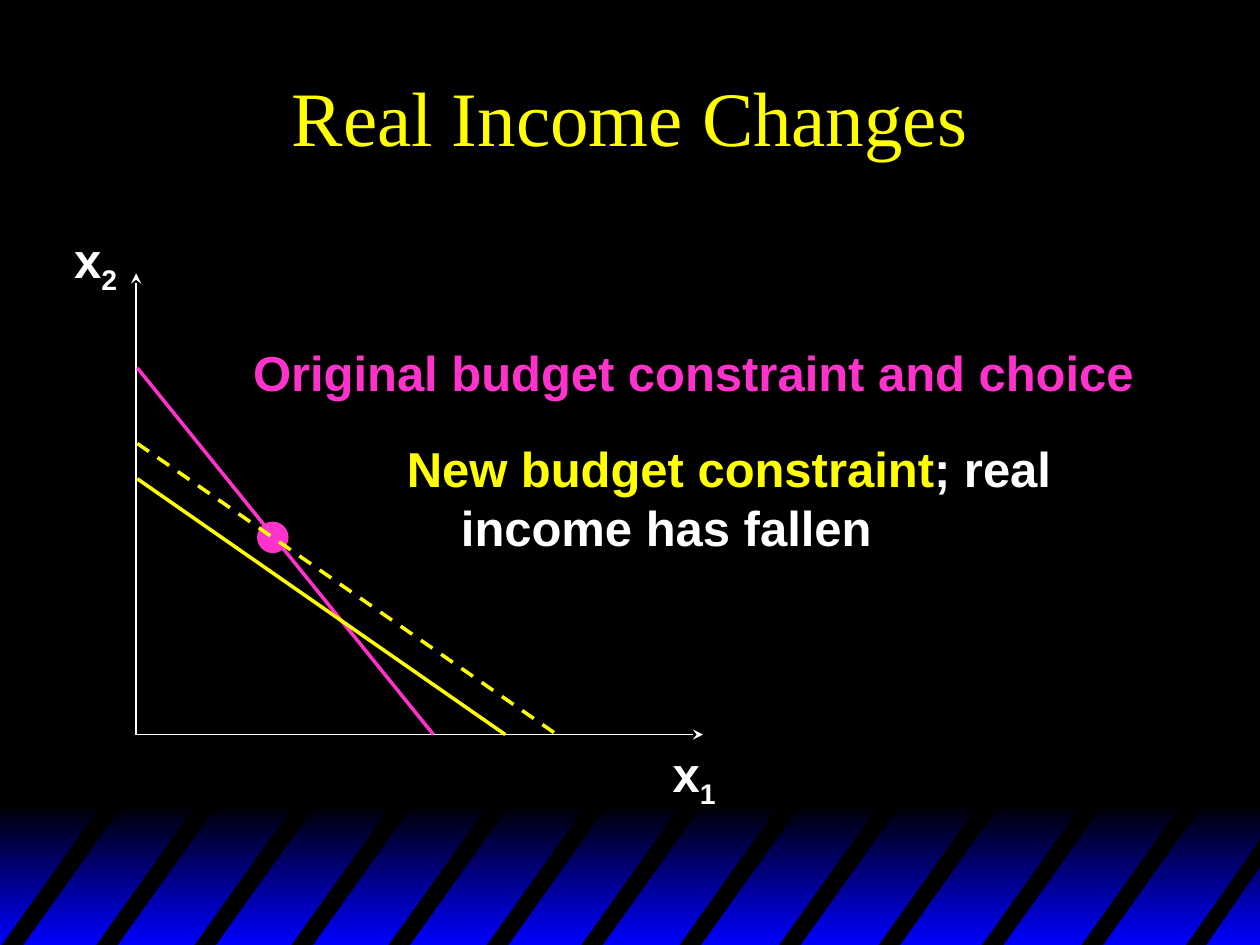
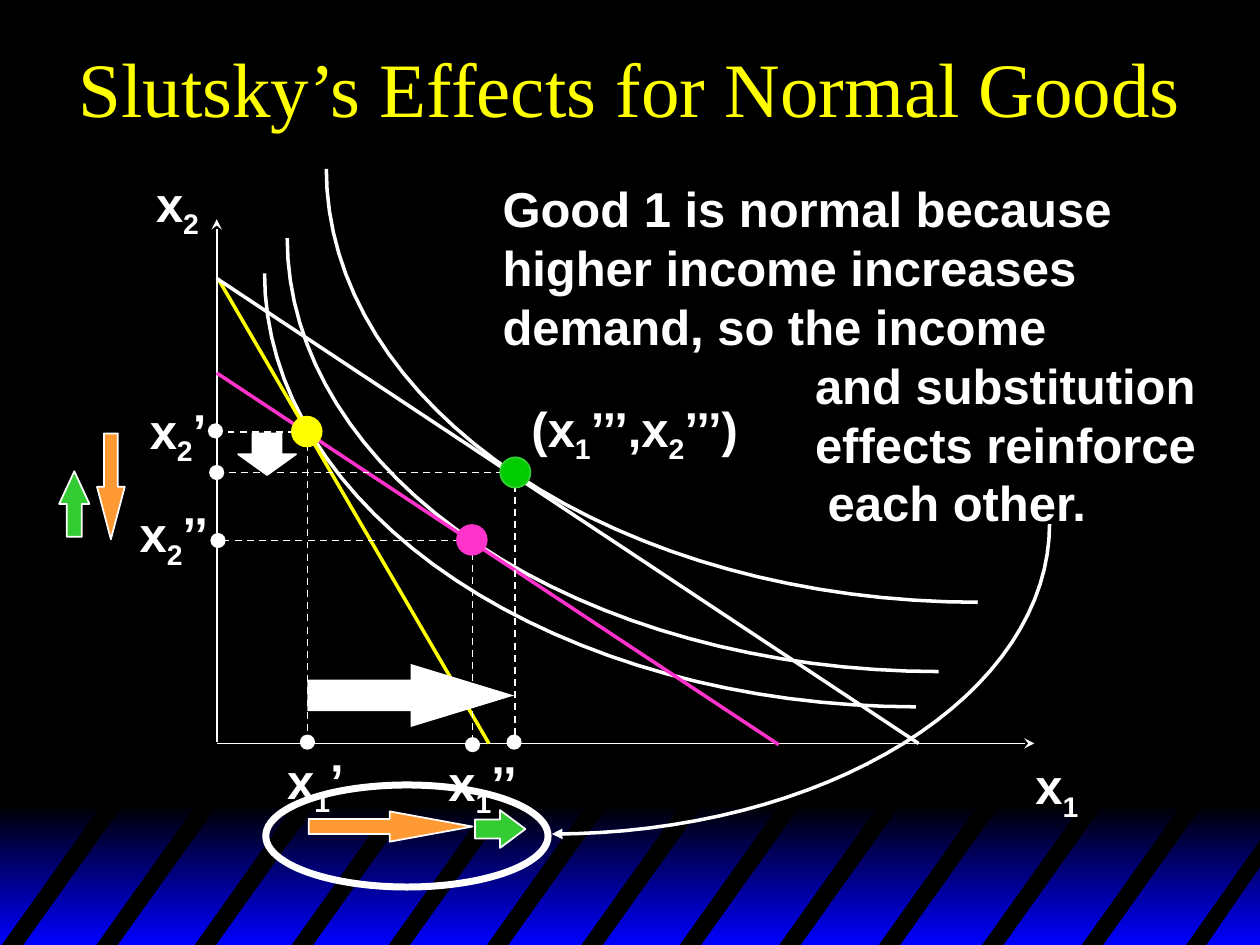
"""Builds two slides on real income changes and Slutsky's effects."""
import math

from lxml import etree
from pptx import Presentation
from pptx import util as u
from pptx.dml.color import RGBColor
from pptx.enum import dml, shapes, text
from pptx.oxml.ns import qn

C = {"black": "000000", "blue": "0000FF", "white": "FFFFFF", "yellow": "FFFF00",
     "pink": "FF33CC", "green": "33CC33", "dark green": "00CC00", "orange": "FF9933"}
I = u.Inches
M = shapes.MSO_SHAPE


def stroke(sp, color, width, dash=False, tip=None):
    sp.line.color.rgb = RGBColor.from_string(C[color])
    sp.line.width = u.Pt(width)
    if dash:
        sp.line.dash_style = dml.MSO_LINE.DASH
    if tip:
        ln = sp._element.spPr.find(qn("a:ln"))
        etree.SubElement(ln, qn("a:tailEnd")).set("type", tip)


def label(s, at, paras, font="Arial", size=28, title=False):
    tf = s.shapes.add_textbox(*map(I, at)).text_frame
    tf.word_wrap = title
    if title:
        tf.vertical_anchor = text.MSO_ANCHOR.MIDDLE
    for i, (indent, runs) in enumerate(paras):
        p = tf.add_paragraph() if i else tf.paragraphs[0]
        p.alignment = text.PP_ALIGN.CENTER if title else text.PP_ALIGN.LEFT
        if indent:
            p._p.get_or_add_pPr().set("marL", str(I(indent)))
        for words, color in runs:
            for j, piece in enumerate(words.split("|")):
                r = p.add_run()
                r.text = piece
                r.font.name, r.font.size, r.font.bold = font, u.Pt(size), not title
                r.font.color.rgb = RGBColor.from_string(C[color])
                if j % 2:
                    r._r.get_or_add_rPr().set("baseline", "-25000")


prs = Presentation()
prs.slide_width, prs.slide_height = I(10), I(7.5)

bottom, top, lean, thick = 7.52, 6.34, 0.84, 0.17
stripe_lefts = [0, 0.75, 1.53, 2.3, 3.07, 3.85, 4.6, 5.38, 6.17, 6.96, 7.78, 8.57]
stripes = [[(x, bottom), (x + lean, top), (x + lean + thick, top), (x + thick, bottom)]
           for x in stripe_lefts]
stripes.append([(9.4, bottom), (10.02, 6.64), (10.02, 6.85), (9.56, bottom)])

titles = [("Real Income Changes", (0.75, 0.25, 8.5, 1.33)),
          ("Slutsky’s Effects for Normal Goods", (0, 0.02, 10, 1.33))]
slides = []
for title, at in titles:
    s = prs.slides.add_slide(prs.slide_layouts[6])
    slides.append(s)
    s.background.fill.solid()
    s.background.fill.fore_color.rgb = RGBColor.from_string(C["black"])
    band = s.shapes.add_shape(M.RECTANGLE, I(0), I(6.38), I(10.02), I(1.12))
    band.shadow.inherit = False
    band.line.fill.background()
    band.fill.gradient()
    band.fill.gradient_angle = 270
    for stop, color, pos in zip(band.fill.gradient_stops, ("black", "blue"), (0, 1)):
        stop.color.rgb = RGBColor.from_string(C[color])
        stop.position = pos
    for pts in stripes:
        fb = s.shapes.build_freeform(I(pts[0][0]), I(pts[0][1]))
        fb.add_line_segments([(I(x), I(y)) for x, y in pts[1:]], close=True)
        sp = fb.convert_to_shape()
        sp.shadow.inherit = False
        sp.fill.solid()
        sp.fill.fore_color.rgb = RGBColor.from_string(C["black"])
        sp.line.fill.background()
    label(s, at, [(0, [(title, "yellow")])], "Times New Roman", 44, title=True)
income, slutsky = slides

curves = [(7.27, 2.17, -5.17, 3.44, None), (7.45, 1.89, -5.17, 3.44, None),
          (7.76, 1.34, -5.17, 3.44, None), (4.38, 4.16, 3.95, 2.46, "triangle")]
steps = 32
for cx, cy, rx, ry, tip in curves:
    angles = [math.pi / 2 * k / steps for k in range(steps + 1)]
    pts = [(I(cx + rx * math.cos(a)), I(cy + ry * math.sin(a))) for a in angles]
    fb = slutsky.shapes.build_freeform(*pts[0])
    fb.add_line_segments(pts[1:], close=False)
    sp = fb.convert_to_shape()
    sp.shadow.inherit = False
    sp.fill.background()
    stroke(sp, "white", 2, tip=tip)

choice = (income, M.OVAL, (2.04, 4.14, 0.25, 0.25), "pink", None, ())
lines = [
    (income, (1.08, 5.83, 1.08, 2.17), "white", 1, False, "stealth"),
    (income, (1.08, 5.83, 5.58, 5.83), "white", 1, False, "stealth"),
    (income, (1.09, 2.92, 3.44, 5.83), "pink", 2, False, None),
    (income, (1.09, 3.8, 4.01, 5.83), "yellow", 2, False, None),
    (slutsky, (1.72, 5.89, 1.72, 1.74), "white", 1, False, "stealth"),
    (slutsky, (1.72, 5.9, 8.21, 5.9), "white", 1, False, "stealth"),
    (slutsky, (1.73, 2.21, 3.88, 5.9), "yellow", 2, False, None),
    (slutsky, (1.72, 2.21, 7.29, 5.9), "white", 2, False, None),
    (slutsky, (1.72, 2.96, 6.18, 5.91), "pink", 2, False, None),
]
for x, y in [(2.44, 3.43), (3.75, 4.29), (4.09, 3.75)]:
    lines.append((slutsky, (x, y, x, 5.9), "white", 1, True, None))
    lines.append((slutsky, (x, y, 1.72, y), "white", 1, True, None))
compensated = (income, (1.09, 3.52, 4.42, 5.83), "yellow", 2, True, None)

marks = [
    choice,
    (slutsky, M.OVAL, (2.31, 3.3, 0.25, 0.25), "yellow", None, ()),
    (slutsky, M.OVAL, (3.62, 4.16, 0.25, 0.25), "pink", None, ()),
    (slutsky, M.OVAL, (3.97, 3.63, 0.24, 0.24), "dark green", ("green", 1), ()),
    (slutsky, M.DOWN_ARROW, (1.89, 3.44, 0.46, 0.33), "white", ("white", 1), (0.5, 0.5)),
    (slutsky, M.RIGHT_ARROW, (2.44, 5.27, 1.64, 0.5), "white", None, (0.5, 1.64)),
    (slutsky, M.OVAL, (2.11, 6.23, 2.24, 0.81), None, ("white", 4), ()),
    (slutsky, M.DOWN_ARROW, (0.77, 3.44, 0.22, 0.84), "orange", ("white", 1), (0.5, 1.89)),
    (slutsky, M.RIGHT_ARROW, (2.45, 6.44, 1.3, 0.24), "orange", ("white", 1), (0.5, 2.73)),
    (slutsky, M.RIGHT_ARROW, (3.77, 6.43, 0.4, 0.3), "green", ("white", 1), (0.5, 0.67)),
    (slutsky, M.UP_ARROW, (0.47, 3.74, 0.24, 0.52), "green", ("white", 1), (0.5, 1.08)),
]
for x, y in [(1.65, 3.36), (1.66, 3.69), (1.67, 4.23), (2.38, 5.83), (3.69, 5.85), (4.02, 5.83)]:
    marks.append((slutsky, M.OVAL, (x, y, 0.12, 0.12), "white", None, ()))

for item in lines + marks + [compensated]:
    s = item[0]
    if item in marks:
        _, kind, at, fill, outline, adj = item
        sp = s.shapes.add_shape(kind, *map(I, at))
        sp.shadow.inherit = False
        for i, value in enumerate(adj):
            sp.adjustments[i] = value
        if fill:
            sp.fill.solid()
            sp.fill.fore_color.rgb = RGBColor.from_string(C[fill])
        else:
            sp.fill.background()
        if outline:
            stroke(sp, *outline)
        else:
            sp.line.fill.background()
    else:
        _, ends, color, width, dash, tip = item
        sp = s.shapes.add_connector(shapes.MSO_CONNECTOR.STRAIGHT, *map(I, ends))
        stroke(sp, color, width, dash, tip)
        etree.SubElement(sp._element.spPr, qn("a:effectLst"))

symbols = [
    (income, (5.24, 5.85, 0.54, 0.63), "x|1"),
    (income, (0.49, 1.77, 0.54, 0.63), "x|2"),
    (slutsky, (1.14, 1.33, 0.54, 0.63), "x|2"),
    (slutsky, (8.12, 5.95, 0.54, 0.63), "x|1"),
    (slutsky, (1.09, 3.13, 0.65, 0.63), "x|2|’"),
    (slutsky, (1.01, 3.95, 0.76, 0.63), "x|2|’’"),
    (slutsky, (2.18, 5.91, 0.65, 0.63), "x|1|’"),
    (slutsky, (3.46, 5.92, 0.76, 0.63), "x|1|’’"),
    (slutsky, (4.12, 3.11, 1.9, 0.63), "(x|1|’’’,x|2|’’’)"),
]
for s, at, words in symbols:
    label(s, at, [(0, [(words, "white")])])

label(income, (1.91, 2.67, 7.19, 0.57),
      [(0, [("Original budget constraint and choice", "pink")])])
label(income, (3.13, 3.43, 5.32, 1.04),
      [(0, [("New budget constraint", "yellow"), ("; real", "white")]),
       (0.43, [("income has fallen", "white")])])
reason = [(0, "Good 1 is normal because"), (0, "higher income increases"),
          (0, "demand, so the income"), (2.48, "and substitution"),
          (2.48, "effects reinforce"), (2.58, "each other.")]
label(slutsky, (3.89, 1.37, 5.71, 2.9),
      [(indent, [(words, "white")]) for indent, words in reason])

prs.save("out.pptx")
